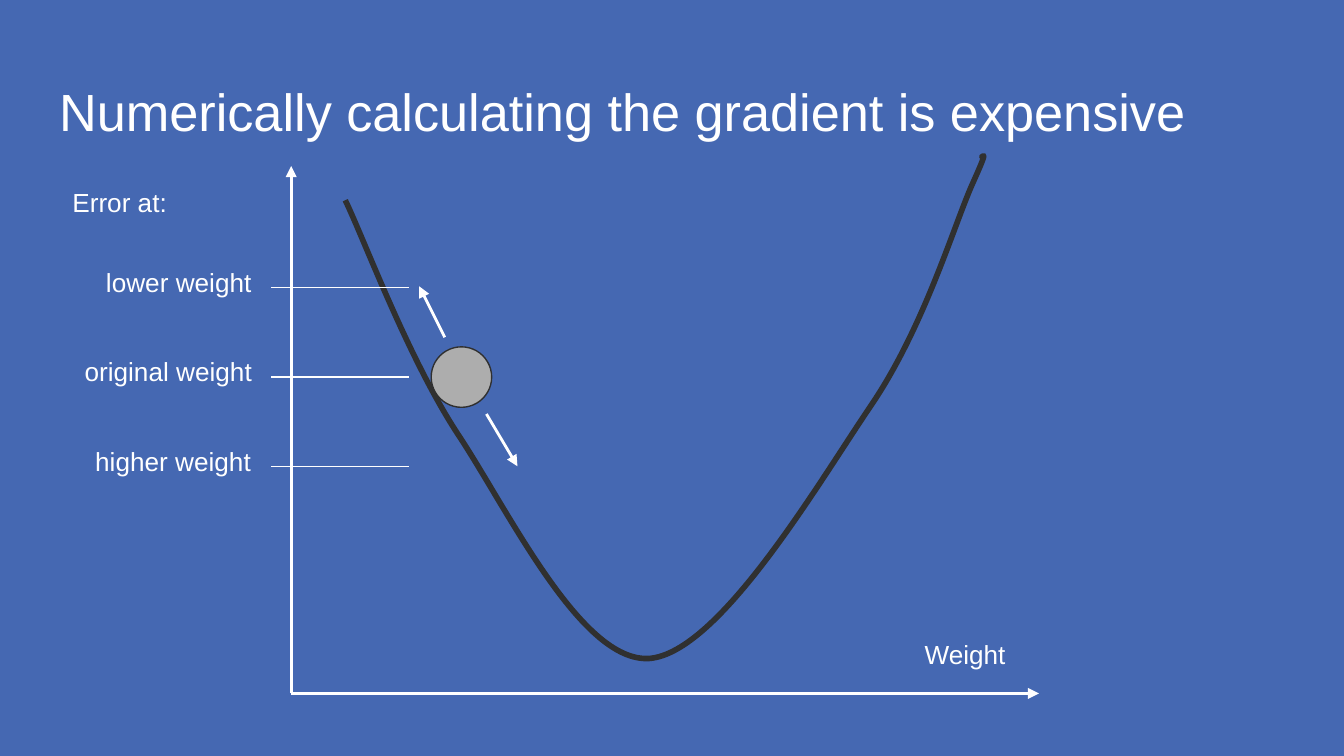
from dataclasses import dataclass

from lxml.etree import SubElement
from pptx import Presentation
from pptx.dml.color import RGBColor
from pptx.enum.shapes import MSO_CONNECTOR as Connector, MSO_SHAPE as Preset
from pptx.enum.text import MSO_ANCHOR as Anchor, MSO_AUTO_SIZE as AutoSize, PP_ALIGN as Align
from pptx.oxml.ns import qn
from pptx.util import Pt


@dataclass(frozen=True)
class Theme:
    """Colours, font and sizes of the slide."""
    background: RGBColor = RGBColor(0x45, 0x68, 0xB2)
    light: RGBColor = RGBColor(0xFF, 0xFF, 0xFF)
    dark: RGBColor = RGBColor(0x30, 0x30, 0x30)
    ball: RGBColor = RGBColor(0xAD, 0xAD, 0xAD)
    font: str = "Arial"
    title_size: float = 28
    label_size: float = 14
    inset: float = 7.2
    thin: float = 0.75
    medium: float = 1.5
    thick: float = 3


@dataclass(frozen=True)
class Box:
    """A region in points."""
    left: float
    top: float
    width: float
    height: float

    def at(self, x, y):
        """Return the slide position of a point inside the region."""
        return Pt(self.left + x), Pt(self.top + y)


THEME = Theme()
LABEL_WIDTH, LABEL_HEIGHT = 188.6, 22.3
CURVE_START = (29, 18.3)
CURVE_SEGMENTS = [
    ((39.1, 39.2), (62.2, 101.8), (88.8, 142.8)),
    ((116.2, 183.9), (155, 266), (191.8, 263.8)),
    ((229.2, 260.9), (281.8, 170.9), (310.6, 128.4)),
    ((339.4, 86), (355.2, 31.2), (365.3, 8.9)),
    ((375.4, -13.4), (368.9, -2.6), (370.3, -5.5)),
]
ERROR_LEVELS = [("lower weight", -106.3), ("original weight", -117.8), ("higher weight", -112.1)]
FIRST_LEVEL, LEVEL_PITCH = 65, 48


def write_text(shape, text, size):
    """Put one left-aligned line of light text in a shape."""
    frame = shape.text_frame
    frame.text = text
    frame.word_wrap = True
    frame.auto_size = AutoSize.NONE
    frame.vertical_anchor = Anchor.TOP
    frame.margin_left = frame.margin_right = Pt(THEME.inset)
    frame.margin_top = frame.margin_bottom = Pt(THEME.inset)
    paragraph = frame.paragraphs[0]
    paragraph.alignment = Align.LEFT
    paragraph.font.name = THEME.font
    paragraph.font.size = Pt(size)
    paragraph.font.color.rgb = THEME.light


def add_label(slide, box, x, y, text):
    """Add a label at a point of the region."""
    shape = slide.shapes.add_textbox(*box.at(x, y), Pt(LABEL_WIDTH), Pt(LABEL_HEIGHT))
    write_text(shape, text, THEME.label_size)


def add_line(slide, box, start, end, width, arrow=False):
    """Draw a light straight line, with an arrowhead at its end if asked."""
    line = slide.shapes.add_connector(Connector.STRAIGHT, *box.at(*start), *box.at(*end))
    line.line.color.rgb = THEME.light
    line.line.width = Pt(width)
    if arrow:
        SubElement(line.line._get_or_add_ln(), qn("a:tailEnd"), type="triangle")
    SubElement(line._element.spPr, qn("a:effectLst"))


def add_title(slide, box):
    """Place and format the slide title."""
    title = slide.shapes.title
    title.left, title.top = box.at(0, 0)
    title.width, title.height = Pt(box.width), Pt(box.height)
    write_text(title, "Numerically calculating the gradient is expensive", THEME.title_size)


def add_error_curve(slide, box):
    """Draw the error curve as a chain of Bézier segments."""
    builder = slide.shapes.build_freeform(*box.at(*CURVE_START))
    builder.add_line_segments([box.at(*segment[-1]) for segment in CURVE_SEGMENTS], close=False)
    curve = builder.convert_to_shape()
    for step, segment in zip(list(curve._element.iter(qn("a:lnTo"))), CURVE_SEGMENTS):
        bezier = step.getparent().makeelement(qn("a:cubicBezTo"))
        for point in segment:
            x, y = box.at(*point)
            SubElement(bezier, qn("a:pt"), x=str(x - curve.left), y=str(y - curve.top))
        step.getparent().replace(step, bezier)
    curve.fill.background()
    curve.line.color.rgb = THEME.dark
    curve.line.width = Pt(THEME.thick)
    curve.shadow.inherit = False


def add_ball(slide, box):
    """Place the ball with its two direction arrows."""
    ball = slide.shapes.add_shape(Preset.OVAL, *box.at(75, 96.8), Pt(32.4), Pt(32.4))
    ball.fill.solid()
    ball.fill.fore_color.rgb = THEME.ball
    ball.line.color.rgb = THEME.dark
    ball.line.width = Pt(THEME.thin)
    ball.shadow.inherit = False
    add_line(slide, box, (82.3, 91.7), (68.6, 64.4), THEME.medium, arrow=True)
    add_line(slide, box, (104.6, 132.8), (121.2, 160.8), THEME.medium, arrow=True)


def add_axes(slide, box):
    """Draw both axes and name them."""
    origin = (0, box.height)
    add_line(slide, box, origin, (0, 0), THEME.medium, arrow=True)
    add_line(slide, box, origin, (box.width, box.height), THEME.medium, arrow=True)
    add_label(slide, box, -124.3, 3.9, "Error at:")
    add_label(slide, box, 332.2, 245.8, "Weight")


def add_error_levels(slide, box):
    """Mark the error levels with evenly spaced lines and labels."""
    for index, (text, x) in enumerate(ERROR_LEVELS):
        y = FIRST_LEVEL + index * LEVEL_PITCH
        add_line(slide, box, (62.9, y), (-10.6, y), THEME.thin)
        add_label(slide, box, x, y - 18.6, text)


def add_plot(slide, box):
    """Build the error plot in its region."""
    add_error_curve(slide, box)
    add_ball(slide, box)
    add_axes(slide, box)
    add_error_levels(slide, box)


def main():
    """Build and save the presentation."""
    presentation = Presentation()
    presentation.slide_width, presentation.slide_height = Pt(720), Pt(405)
    slide = presentation.slides.add_slide(presentation.slide_layouts[5])
    slide.background.fill.solid()
    slide.background.fill.fore_color.rgb = THEME.background
    add_title(slide, Box(24.5, 35.3, 671, 45.4))
    add_plot(slide, Box(156, 89, 400.6, 282.5))
    presentation.save("out.pptx")


if __name__ == "__main__":
    main()
